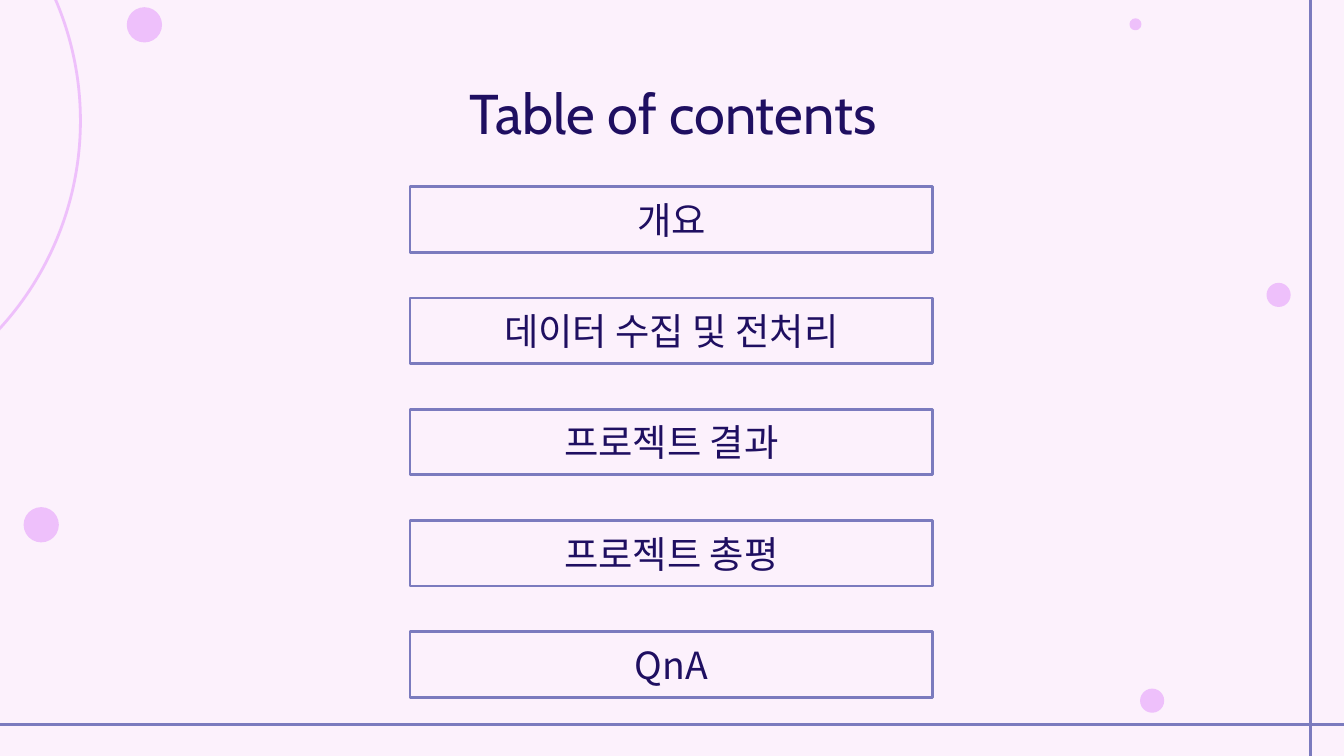
from lxml import etree
from pptx import Presentation
from pptx import util as u
from pptx.dml.color import RGBColor
from pptx.enum import shapes, text
from pptx.oxml.ns import qn

W, H = 25.4, 14.29
INK, RULE, PINK, PAPER = "1F0F61", "7B7BBE", "EEC0FB", "FCF1FC"
LATIN, HANGUL = "Cabin", "Noto Sans CJK KR"
TOPICS = ["개요", "데이터 수집 및 전처리", "프로젝트 결과", "프로젝트 총평", "QnA"]
DOTS = [(2.41, 0.15, 0.64), (21.56, 13.03, 0.43), (21.36, 0.36, 0.2),
        (23.95, 5.36, 0.43), (0.46, 9.6, 0.64)]


def paint(fmt, color):
    fmt.solid()
    fmt.fore_color.rgb = RGBColor.from_string(color)


def add_shape(s, kind, box, fill, line, width):
    sp = s.shapes.add_shape(kind, *map(u.Cm, box))
    sp.shadow.inherit = False
    if fill:
        paint(sp.fill, fill)
    else:
        sp.fill.background()
    paint(sp.line.fill, line)
    sp.line.width = u.Pt(width)
    return sp


def write(sp, words, size, font, anchor):
    tf = sp.text_frame
    tf.word_wrap = True
    tf.auto_size = text.MSO_AUTO_SIZE.NONE
    tf.vertical_anchor = anchor
    tf.margin_left = tf.margin_right = u.Cm(0.25)
    tf.margin_top = tf.margin_bottom = u.Cm(0.25)
    p = tf.paragraphs[0]
    p.alignment = text.PP_ALIGN.CENTER
    r = p.add_run()
    r.text = words
    r.font.size = u.Pt(size)
    paint(r.font.fill, INK)
    r.font.name = font
    etree.SubElement(r.font._element, qn("a:ea"), typeface=font)


def add_rule(s, x1, y1, x2, y2):
    ln = s.shapes.add_connector(shapes.MSO_CONNECTOR.STRAIGHT,
                                *map(u.Cm, (x1, y1, x2, y2)))
    paint(ln.line.fill, RULE)
    ln.line.width = u.Pt(1.5)
    etree.SubElement(ln._element.spPr, qn("a:effectLst"))


def add_backdrop(s, left, top, width, height):
    paint(s.background.fill, PAPER)
    oval = shapes.MSO_SHAPE.OVAL
    add_shape(s, oval, (left - 10.11, top - 3.53, 11.63, 11.63), None, PINK, 1.5)
    for x, y, d in DOTS:
        add_shape(s, oval, (left + x, top + y, d, d), PINK, PINK, 0.75)
    x, y = left + width - 0.63, top + height - 0.6
    add_rule(s, x, top, x, top + height)
    add_rule(s, left, y, left + width, y)


def add_title(s, left, top, width, height):
    sp = s.shapes.title
    sp.left, sp.top, sp.width, sp.height = map(u.Cm, (left, top, width, height))
    write(sp, "Table of contents", 30, LATIN, text.MSO_ANCHOR.TOP)


def add_topics(s, left, top, width, height):
    box_h = 1.24
    step = (height - box_h) / (len(TOPICS) - 1)
    for i, topic in enumerate(TOPICS):
        sp = add_shape(s, shapes.MSO_SHAPE.RECTANGLE,
                       (left, top + i * step, width, box_h), None, RULE, 1.5)
        write(sp, topic, 20, HANGUL, text.MSO_ANCHOR.MIDDLE)


def main():
    prs = Presentation()
    prs.slide_width, prs.slide_height = u.Cm(W), u.Cm(H)
    s = prs.slides.add_slide(prs.slide_layouts[5])
    add_backdrop(s, 0, 0, W, H)
    add_title(s, 2.01, 1.24, 21.41, 1.6)
    add_topics(s, 7.75, 3.53, 9.88, 9.65)
    prs.save("out.pptx")


if __name__ == "__main__":
    main()
